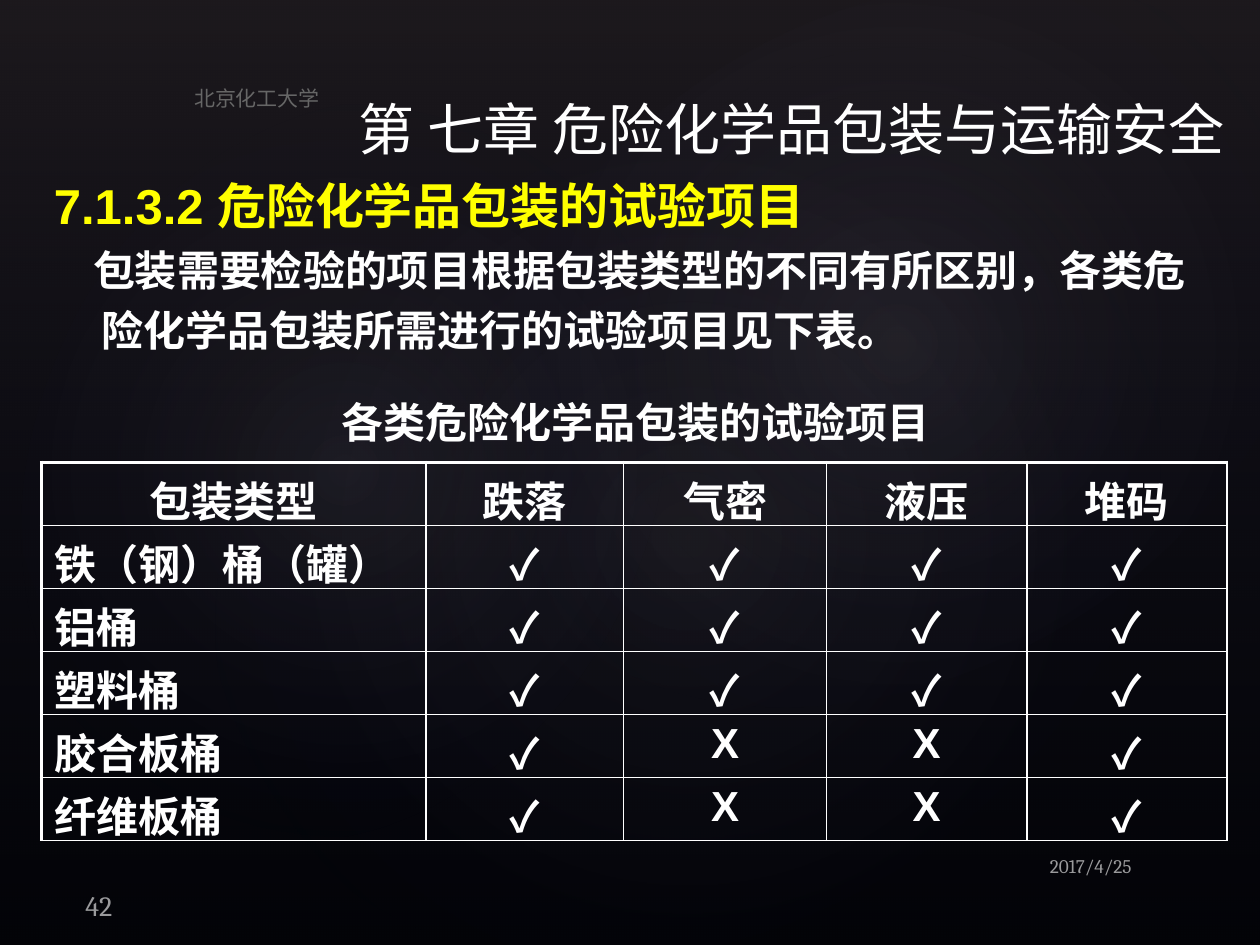
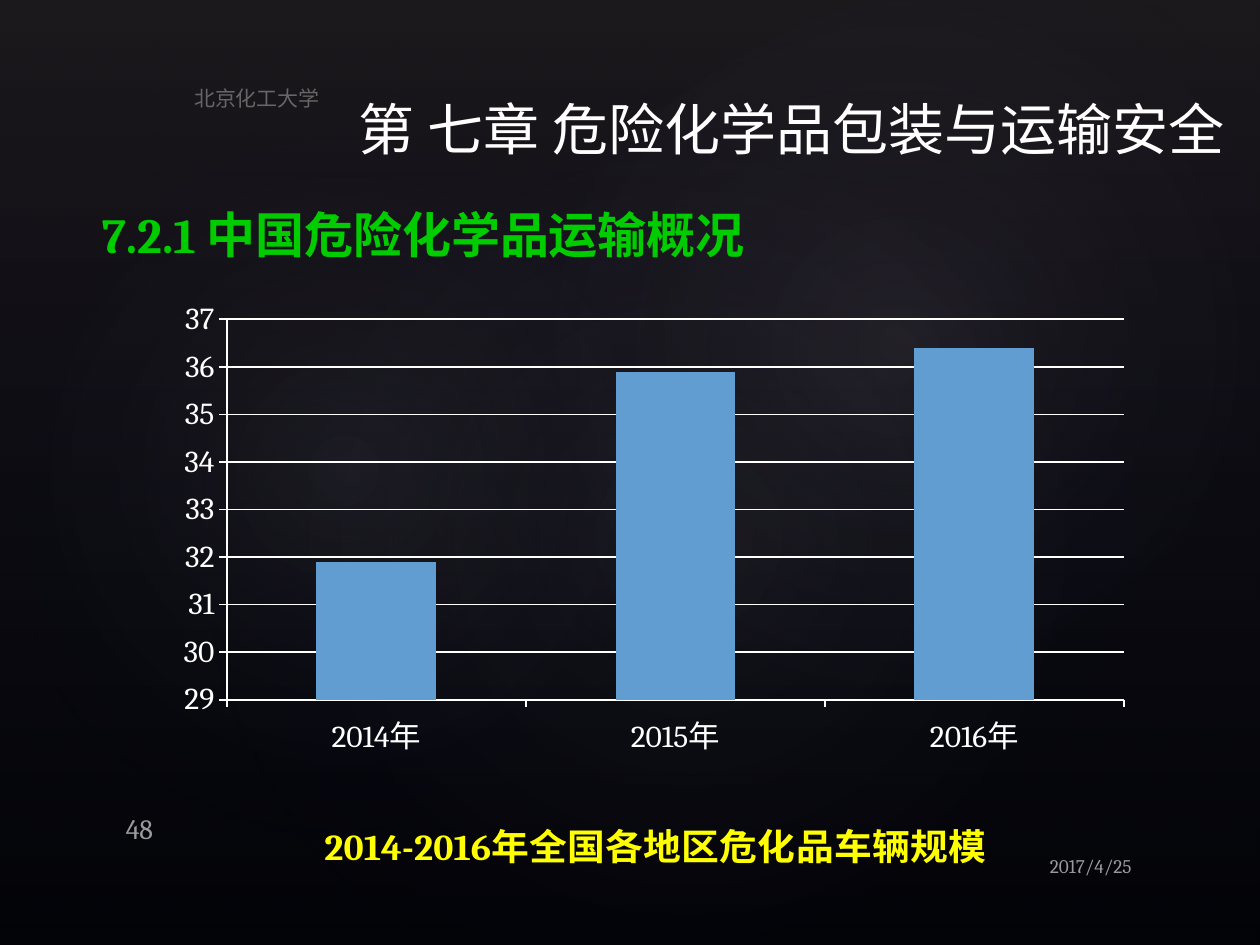
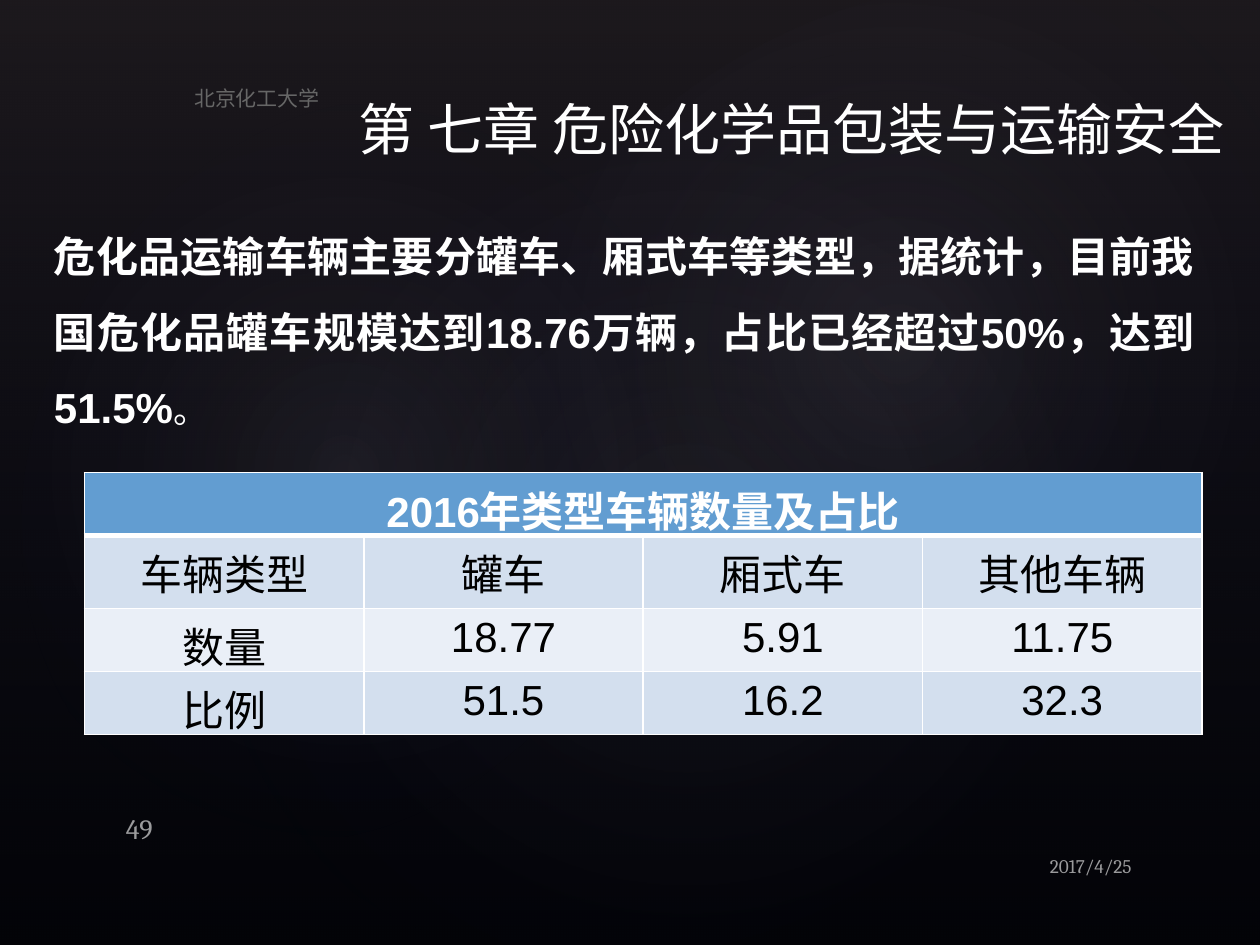
from dataclasses import dataclass

from pptx import Presentation
from pptx.chart.data import CategoryChartData
from pptx.dml.color import RGBColor
from pptx.enum.chart import XL_CHART_TYPE, XL_TICK_MARK
from pptx.enum.shapes import MSO_SHAPE
from pptx.enum.text import MSO_ANCHOR, PP_ALIGN
from pptx.oxml import parse_xml
from pptx.oxml.ns import nsdecls, qn
from pptx.util import Inches, Pt


@dataclass(frozen=True)
class Theme:
    """Colours, fonts and type sizes shared by the slides."""
    black: str = "000000"
    white: str = "FFFFFF"
    yellow: str = "FFFF00"
    green: str = "00CC00"
    grey: str = "666666"
    blue: str = "629DD1"
    band_dark: str = "D3DFEE"
    band_light: str = "EAEFF7"
    haze: str = "504652"
    glow: str = "C4BCC6"
    navy: str = "242852"
    serif: str = "Cambria"
    sans: str = "Arial"
    symbol: str = "Noto Sans CJK JP"
    title: float = 32
    heading: float = 28
    body: float = 24
    caption: float = 21.6
    axis: float = 18
    number: float = 16
    school: float = 12
    date: float = 11


THEME = Theme()
CHAPTER = "第 七章 危险化学品包装与运输安全"
SCHOOL = "北京化工大学"
DATE = "2017/4/25"
GLOWS = [
    ((1.5, 1.14, 7.92, 6.24), 328.7, 7),
    ((-0.3, 1.28, 6.06, 4.9), 294.3, 8),
    ((3.58, 0.13, 7.09, 5.2), 328.7, 8),
]
TESTS = [
    ("包装类型", "跌落", "气密", "液压", "堆码"),
    ("铁（钢）桶（罐）", "✓", "✓", "✓", "✓"),
    ("铝桶", "✓", "✓", "✓", "✓"),
    ("塑料桶", "✓", "✓", "✓", "✓"),
    ("胶合板桶", "✓", "X", "X", "✓"),
    ("纤维板桶", "✓", "X", "X", "✓"),
]
VEHICLES = [
    ("2016年类型车辆数量及占比", "", "", ""),
    ("车辆类型", "罐车", "厢式车", "其他车辆"),
    ("数量", "18.77", "5.91", "11.75"),
    ("比例", "51.5", "16.2", "32.3"),
]
FLEET = {"2014年": 31.9, "2015年": 35.9, "2016年": 36.4}


def rgb(colour):
    """Turn a hex colour into an RGBColor."""
    return RGBColor.from_string(colour)


def style(font, size, colour=THEME.white, face=THEME.sans, bold=False):
    """Set size, colour, face and weight of a font."""
    font.size = Pt(size)
    font.color.rgb = rgb(colour)
    font.name = face
    font.bold = bold


def write(paragraph, words, size, align=PP_ALIGN.LEFT, **look):
    """Fill a paragraph with words in one look."""
    paragraph.text = words
    paragraph.alignment = align
    style(paragraph.font, size, **look)
    return paragraph


def add_frame(slide, box, anchor=MSO_ANCHOR.TOP):
    """Add a wrapping text frame in the box."""
    frame = slide.shapes.add_textbox(*map(Inches, box)).text_frame
    frame.word_wrap = True
    frame.vertical_anchor = anchor
    return frame


def fade(paragraph):
    """Make the text of a paragraph 60 percent opaque."""
    for colour in paragraph._p.iter(qn("a:srgbClr")):
        colour.append(parse_xml(f'<a:alpha {nsdecls("a")} val="60000"/>'))


def add_veil(slide, outline, box, stops, direction, rotation=0):
    """Add a shape with a translucent gradient."""
    veil = slide.shapes.add_shape(outline, *map(Inches, box))
    veil.shadow.inherit = False
    veil.rotation = rotation
    veil.line.fill.background()
    stop_xml = "".join(
        f'<a:gs pos="{place * 1000}"><a:srgbClr val="{colour}">'
        f'<a:alpha val="{opacity * 1000}"/></a:srgbClr></a:gs>'
        for place, colour, opacity in stops)
    gradient = parse_xml(
        f'<a:gradFill {nsdecls("a")} rotWithShape="1">'
        f"<a:gsLst>{stop_xml}</a:gsLst>{direction}</a:gradFill>")
    veil._element.spPr.find(qn("a:prstGeom")).addnext(gradient)


def add_backdrop(slide):
    """Paint the black background with its haze and glows."""
    slide.background.fill.solid()
    slide.background.fill.fore_color.rgb = rgb(THEME.black)
    add_veil(slide, MSO_SHAPE.RECTANGLE, (0, 0, 10, 7.5),
             [(0, THEME.haze, 36), (100, THEME.navy, 10)],
             '<a:lin ang="5400000" scaled="0"/>')
    radial = ('<a:path path="circle"><a:fillToRect l="50000" t="50000" '
              'r="50000" b="50000"/></a:path>')
    for box, rotation, opacity in GLOWS:
        add_veil(slide, MSO_SHAPE.OVAL, box,
                 [(0, THEME.glow, opacity), (58, THEME.navy, 0)],
                 radial, rotation)


def add_base_slide(deck, number, number_at=(0.9, 6.39)):
    """Add a slide with backdrop, chapter title, school, date and number."""
    slide = deck.slides.add_slide(deck.slide_layouts[6])
    add_backdrop(slide)
    title = add_frame(slide, (2.75, 0.3, 7.25, 1.03), MSO_ANCHOR.BOTTOM)
    write(title.paragraphs[0], CHAPTER, THEME.title, face=THEME.serif)
    school = add_frame(slide, (1.33, 0.58, 1.42, 0.35), MSO_ANCHOR.BOTTOM)
    write(school.paragraphs[0], SCHOOL, THEME.school, PP_ALIGN.CENTER,
          colour=THEME.grey)
    date = add_frame(slide, (6.75, 6.73, 2.33, 0.4))
    fade(write(date.paragraphs[0], DATE, THEME.date, PP_ALIGN.RIGHT,
               face=THEME.serif))
    page = add_frame(slide, (*number_at, 2.33, 0.33), MSO_ANCHOR.BOTTOM)
    page.margin_bottom = Inches(0.01)
    fade(write(page.paragraphs[0], str(number), THEME.number,
               face=THEME.serif))
    return slide


def add_grid(slide, box, rows, widths, heights):
    """Add a plain table with the given column widths and row heights."""
    grid = slide.shapes.add_table(
        len(rows), len(widths), *map(Inches, box)).table
    grid.first_row = grid.horz_banding = False
    for column, width in zip(grid.columns, widths):
        column.width = Inches(width)
    for row, height in zip(grid.rows, heights):
        row.height = Inches(height)
    return grid


def set_borders(cell, left=1, right=1, top=1, bottom=1):
    """Draw white cell borders with widths in points."""
    borders = {"lnL": left, "lnR": right, "lnT": top, "lnB": bottom}
    for side, width in borders.items():
        cell._tc.get_or_add_tcPr().append(parse_xml(
            f'<a:{side} {nsdecls("a")} w="{Pt(width)}"><a:solidFill>'
            f'<a:srgbClr val="{THEME.white}"/></a:solidFill></a:{side}>'))


def add_test_table(slide, box):
    """Tabulate the tests that each packaging type needs."""
    grid = add_grid(slide, box, TESTS, (3.05, 1.57, 1.61, 1.59, 1.59),
                    [box[3] / len(TESTS)] * len(TESTS))
    for r, row in enumerate(TESTS):
        for c, words in enumerate(row):
            cell = grid.cell(r, c)
            set_borders(cell, left=1 if c else 2.25, top=1 if r else 2.25)
            cell.fill.background()
            cell.vertical_anchor = MSO_ANCHOR.TOP if r else MSO_ANCHOR.MIDDLE
            write(cell.text_frame.paragraphs[0], words, THEME.body,
                  PP_ALIGN.LEFT if r and not c else PP_ALIGN.CENTER,
                  face=THEME.symbol if words == "✓" else THEME.sans,
                  bold=True)


def add_vehicle_table(slide, box):
    """Tabulate vehicle numbers and shares under a merged heading."""
    columns = len(VEHICLES[0])
    grid = add_grid(slide, box, VEHICLES, [box[2] / columns] * columns,
                    (0.5, 0.58, 0.5, 0.5))
    fills = (THEME.blue, THEME.band_dark, THEME.band_light, THEME.band_dark)
    grid.cell(0, 0).merge(grid.cell(0, columns - 1))
    for r, row in enumerate(VEHICLES):
        for c, words in enumerate(row):
            cell = grid.cell(r, c)
            set_borders(cell, top=3 if r == 1 else 1, bottom=1 if r else 3)
            cell.fill.solid()
            cell.fill.fore_color.rgb = rgb(fills[r])
            if words:
                write(cell.text_frame.paragraphs[0], words, THEME.body,
                      PP_ALIGN.CENTER, bold=r == 0,
                      colour=THEME.black if r else THEME.white)


def place_part(parent, index, target="", **fractions):
    """Give a chart part a manual layout in fractions of the chart."""
    for layout in parent.findall(qn("c:layout")):
        parent.remove(layout)
    modes = '<c:xMode val="edge"/><c:yMode val="edge"/>'
    sizes = "".join(f'<c:{key} val="{value}"/>'
                    for key, value in fractions.items())
    parent.insert(index, parse_xml(
        f'<c:layout {nsdecls("c")}><c:manualLayout>{target}{modes}{sizes}'
        "</c:manualLayout></c:layout>"))


def add_fleet_chart(slide, box):
    """Chart the fleet size by year with its caption below."""
    fleet = CategoryChartData()
    fleet.categories = FLEET.keys()
    fleet.add_series("Series 1", FLEET.values())
    chart = slide.shapes.add_chart(
        XL_CHART_TYPE.COLUMN_CLUSTERED, *map(Inches, box), fleet).chart
    style(chart.font, THEME.axis, face=THEME.serif)
    chart.has_legend = False

    caption = chart.chart_title.text_frame.paragraphs[0].add_run()
    caption.text = "2014-2016年全国各地区危化品车辆规模"
    style(caption.font, THEME.caption, THEME.yellow, THEME.serif, True)
    chart.chart_title.include_in_layout = False
    place_part(chart.chart_title._element, 1, x=0.18, y=0.91)

    bars = chart.plots[0]
    bars.gap_width = 150
    bars.vary_by_categories = False
    bars.series[0].format.fill.solid()
    bars.series[0].format.fill.fore_color.rgb = rgb(THEME.blue)
    place_part(chart._chartSpace.chart.plotArea, 0,
               '<c:layoutTarget val="inner"/>', x=0.09, y=0.09, w=0.89, h=0.64)

    scale = chart.value_axis
    scale.minimum_scale, scale.maximum_scale, scale.major_unit = 29, 37, 1
    scale.has_major_gridlines = True
    for axis in (scale, chart.category_axis):
        axis.major_tick_mark = XL_TICK_MARK.OUTSIDE
        axis.minor_tick_mark = XL_TICK_MARK.NONE
    for line in (scale.format.line, chart.category_axis.format.line,
                 scale.major_gridlines.format.line):
        line.color.rgb = rgb(THEME.white)
        line.width = Pt(1)


def add_test_intro(slide, box):
    """Write the section heading, its text and the table caption."""
    frame = add_frame(slide, box)
    heading = write(frame.paragraphs[0], "7.1.3.2 危险化学品包装的试验项目",
                    THEME.heading, colour=THEME.yellow, bold=True)
    text = write(
        frame.add_paragraph(),
        "包装需要检验的项目根据包装类型的不同有所区别，"
        "各类危险化学品包装所需进行的试验项目见下表。",
        THEME.body, bold=True)
    indents = text._p.get_or_add_pPr()
    indents.set("marL", str(Inches(0.38)))
    indents.set("indent", str(Inches(-0.07)))
    caption = write(frame.add_paragraph(), "各类危险化学品包装的试验项目",
                    THEME.body, PP_ALIGN.CENTER, bold=True)
    for paragraph in (heading, text, caption):
        paragraph.line_spacing = 1.2
    caption.space_before = Pt(18)


def add_fleet_heading(slide, box):
    """Write the heading above the fleet chart."""
    heading = write(add_frame(slide, box).paragraphs[0],
                    "7.2.1 中国危险化学品运输概况", THEME.heading,
                    PP_ALIGN.JUSTIFY, colour=THEME.green, face=THEME.serif,
                    bold=True)
    heading.line_spacing = Pt(39)


def add_vehicle_intro(slide, box):
    """Write the text above the vehicle table."""
    intro = add_frame(slide, box).paragraphs[0]
    intro.alignment = PP_ALIGN.JUSTIFY
    intro.line_spacing = 1.5
    statement = ("危化品运输车辆主要分罐车、厢式车等类型，据统计，"
                 "目前我国危化品罐车规模达到18.76万辆，"
                 "占比已经超过50%，达到51.5%")
    for words, size, bold in ((statement, THEME.body, True), ("。", 20, False)):
        run = intro.add_run()
        run.text = words
        style(run.font, size, bold=bold)


def main():
    """Build the three slides and save them."""
    deck = Presentation()
    deck.slide_width, deck.slide_height = Inches(10), Inches(7.5)

    tests = add_base_slide(deck, 42, (0.58, 7))
    add_test_intro(tests, (0.33, 1.25, 9.42, 2.38))
    add_test_table(tests, (0.33, 3.67, 9.42, 3))

    fleet = add_base_slide(deck, 48)
    add_fleet_chart(fleet, (1.08, 2.11, 8, 4.89))
    add_fleet_heading(fleet, (0.71, 1.5, 8, 0.6))

    vehicles = add_base_slide(deck, 49)
    add_vehicle_intro(vehicles, (0.33, 1.58, 9.25, 1.84))
    add_vehicle_table(vehicles, (0.67, 3.75, 8.87, 2.08))

    deck.save("out.pptx")


if __name__ == "__main__":
    main()
